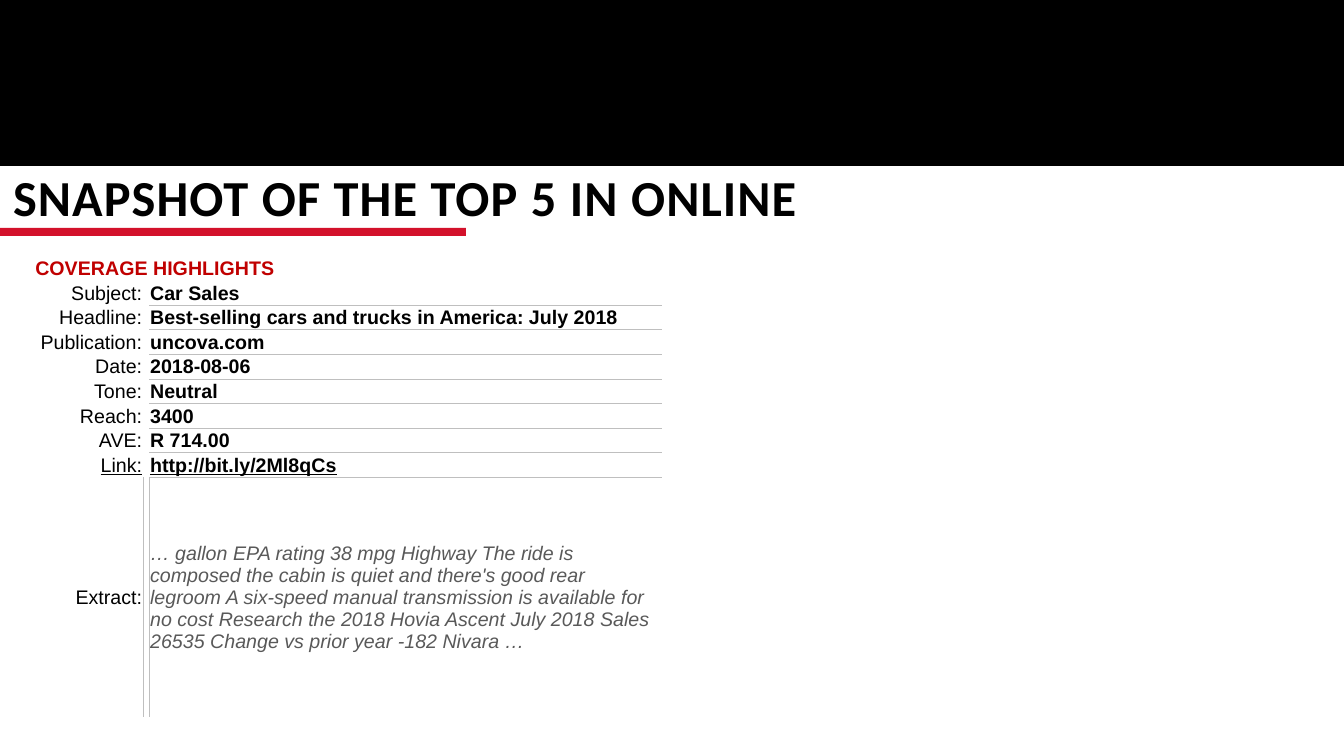
from lxml.etree import SubElement
from pptx import Presentation
from pptx.dml.color import RGBColor
from pptx.enum.shapes import MSO_SHAPE
from pptx.enum.text import MSO_ANCHOR, PP_ALIGN
from pptx.oxml.ns import qn
from pptx.util import Inches, Pt

BLACK, RED, DARK_RED = "000000", "D3112B", "C00000"
GREY, RULE_GREY = "595959", "BFBFBF"
NO_STYLE = "{2D5ABB26-0587-4C30-8999-92F81FD0307C}"
DETAILS = [
    ("Subject:", "Car Sales"),
    ("Headline:", "Best-selling cars and trucks in America: July 2018"),
    ("Publication:", "uncova.com"),
    ("Date:", "2018-08-06"),
    ("Tone:", "Neutral"),
    ("Reach:", "3400"),
    ("AVE:", "R 714.00"),
    ("Link:", "http://bit.ly/2Ml8qCs"),
]
EXTRACT = (
    "… gallon EPA rating 38 mpg Highway The ride is composed the cabin is quiet "
    "and there's good rear legroom A six-speed manual transmission is available "
    "for no cost Research the 2018 Hovia Ascent July 2018 Sales 26535 Change vs "
    "prior year -182 Nivara …"
)


def color(value):
    return RGBColor.from_string(value)


def write(paragraph, text, size=14, name="Arial", fill=BLACK, bold=False,
          italic=False, underline=False, align=PP_ALIGN.LEFT, spacing=0):
    paragraph.alignment = align
    run = paragraph.add_run()
    run.text = text
    font = run.font
    font.size, font.name = Pt(size), name
    font.bold, font.italic, font.underline = bold, italic, underline
    font.color.rgb = color(fill)
    if spacing:
        run._r.get_or_add_rPr().set("spc", str(int(spacing * 100)))


def add_bar(slide, left, top, width, height, fill, outlined=False):
    shape = slide.shapes.add_shape(
        MSO_SHAPE.RECTANGLE, Inches(left), Inches(top), Inches(width), Inches(height))
    shape.shadow.inherit = False
    shape.fill.solid()
    shape.fill.fore_color.rgb = color(fill)
    if outlined:
        shape.line.color.rgb = color(fill)
        shape.line.width = Pt(1)
    else:
        shape.line.fill.background()


def add_title(slide, text):
    box = slide.shapes.add_textbox(Inches(0.12), Inches(1.58), Inches(8.35), Inches(0.67))
    frame = box.text_frame
    frame.word_wrap = True
    frame.vertical_anchor = MSO_ANCHOR.MIDDLE
    frame.margin_left, frame.margin_top = Inches(0.01), Inches(0.07)
    frame.margin_right = frame.margin_bottom = 0
    write(frame.paragraphs[0], text, size=36, name="Calibri", bold=True, spacing=0.8)


def add_border(cell, side):
    line = SubElement(cell._tc.get_or_add_tcPr(), qn(f"a:ln{side}"), w=str(Pt(0.5)))
    solid = SubElement(line, qn("a:solidFill"))
    SubElement(solid, qn("a:srgbClr"), val=RULE_GREY)


def format_cell(cell, borders=""):
    cell.vertical_anchor = MSO_ANCHOR.MIDDLE
    cell.margin_left = cell.margin_right = cell.margin_top = Inches(0.01)
    cell.margin_bottom = 0
    for side in borders:
        add_border(cell, side)
    cell.fill.background()


def fill_cell(cell, text, borders="", **text_format):
    format_cell(cell, borders)
    write(cell.text_frame.paragraphs[0], text, **text_format)


def clear_cell(cell, borders=""):
    format_cell(cell, borders)
    SubElement(cell.text_frame.paragraphs[0]._p, qn("a:endParaRPr"), sz="1000")


def add_highlights(slide):
    row_count = len(DETAILS) + 2
    frame = slide.shapes.add_table(
        row_count, 3, Inches(0.34), Inches(2.54), Inches(6.22), Inches(4.57))
    table = frame.table
    table.first_row = table.horz_banding = False
    table._tbl.tblPr.find(qn("a:tableStyleId")).text = NO_STYLE
    for column, width in zip(table.columns, (1.08, 0.05, 5.09)):
        column.width = Inches(width)
    for row in table.rows:
        row.height = Inches(0.24)
    extract_row = row_count - 1
    table.rows[extract_row].height = Inches(2.38)

    table.cell(0, 0).merge(table.cell(0, 2))
    fill_cell(table.cell(0, 0), "COVERAGE HIGHLIGHTS", fill=DARK_RED, bold=True)
    for column in (1, 2):
        clear_cell(table.cell(0, column))

    for row, (label, value) in enumerate(DETAILS, 1):
        linked = label == "Link:"
        fill_cell(table.cell(row, 0), label, align=PP_ALIGN.RIGHT, underline=linked)
        clear_cell(table.cell(row, 1))
        fill_cell(table.cell(row, 2), value, "B" if row == 1 else "TB",
                  bold=True, underline=linked)

    fill_cell(table.cell(extract_row, 0), "Extract:", "R", align=PP_ALIGN.RIGHT)
    clear_cell(table.cell(extract_row, 1), "L")
    fill_cell(table.cell(extract_row, 2), EXTRACT, "T", fill=GREY, italic=True)


def main():
    presentation = Presentation()
    presentation.slide_width = Inches(13.33)
    presentation.slide_height = Inches(7.5)
    slide = presentation.slides.add_slide(presentation.slide_layouts[6])
    add_bar(slide, 0, 2.26, 4.62, 0.08, RED)
    add_title(slide, "SNAPSHOT OF THE TOP 5 IN ONLINE")
    add_highlights(slide)
    add_bar(slide, 0, 0, 13.33, 1.64, BLACK, outlined=True)
    presentation.save("out.pptx")


if __name__ == "__main__":
    main()
